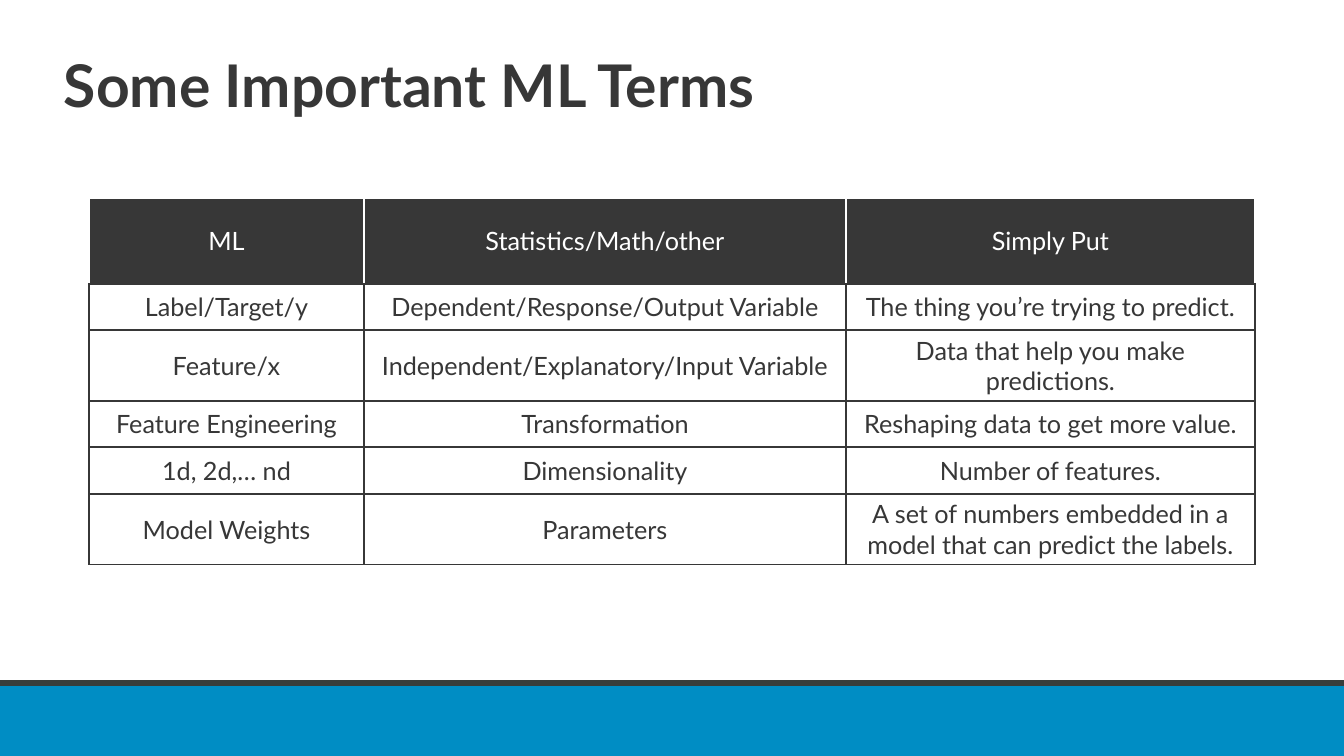
"""Build a slide with a table of important machine learning terms."""
from lxml import etree
from pptx import Presentation
from pptx.dml.color import RGBColor
from pptx.enum.shapes import MSO_SHAPE
from pptx.enum.text import MSO_ANCHOR, PP_ALIGN
from pptx.oxml.ns import qn
from pptx.util import Emu, Pt

RECTANGLE = MSO_SHAPE.RECTANGLE
MIDDLE = MSO_ANCHOR.MIDDLE
CENTER = PP_ALIGN.CENTER
EMU_PER_PX = 914400 / 100.8
COLORS = {"ink": "373737", "white": "FFFFFF", "blue": "008DC4", "stripe": "383D3B"}
TITLE_FORMAT = {"name": "Lato", "size": Pt(42), "bold": True}
CELL_FORMAT = {"name": "Lato", "size": Pt(18), "bold": False}
FOOTER_BARS = [("blue", -2, 686, 1348, 70), ("stripe", -1, 680, 1346, 6)]
COLUMN_WIDTHS = [275, 482, 409]
ROW_HEIGHTS = [86, 46, 71, 46, 47, 70]
TERMS = [
    ["ML", "Statistics/Math/other", "Simply Put"],
    ["Label/Target/y", "Dependent/Response/Output Variable", "The thing you’re trying to predict."],
    ["Feature/x", "Independent/Explanatory/Input Variable", "Data that help you make predictions."],
    ["Feature Engineering", "Transformation", "Reshaping data to get more value."],
    ["1d, 2d,… nd", "Dimensionality", "Number of features."],
    ["Model Weights", "Parameters", "A set of numbers embedded in a model that can predict the labels."],
]


def px(*lengths):
    return [Emu(round(length * EMU_PER_PX)) for length in lengths]


def write(paragraph, text, color, font_format):
    paragraph.text = text
    for attribute, value in font_format.items():
        setattr(paragraph.font, attribute, value)
    paragraph.font.color.rgb = RGBColor.from_string(COLORS[color])


presentation = Presentation()
presentation.slide_width, presentation.slide_height = px(1344, 756)
slide = presentation.slides.add_slide(presentation.slide_layouts[6])

for color, *bounds in FOOTER_BARS:
    bar = slide.shapes.add_shape(RECTANGLE, *px(*bounds))
    bar.shadow.inherit = False
    bar.fill.solid()
    bar.fill.fore_color.rgb = RGBColor.from_string(COLORS[color])
    bar.line.fill.background()

title = slide.shapes.add_textbox(*px(54, 52, 1159, 110))
title.text_frame.word_wrap = True
title_paragraph = title.text_frame.paragraphs[0]
title_paragraph.line_spacing = 0.9
write(title_paragraph, "Some Important ML Terms", "ink", TITLE_FORMAT)

table = slide.shapes.add_table(
    len(TERMS), len(COLUMN_WIDTHS), *px(89, 198, sum(COLUMN_WIDTHS), sum(ROW_HEIGHTS))
).table
for column, width in zip(table.columns, px(*COLUMN_WIDTHS)):
    column.width = width
for row, height in zip(table.rows, px(*ROW_HEIGHTS)):
    row.height = height

for row_index, row_terms in enumerate(TERMS):
    is_header = row_index == 0
    text_color = "white" if is_header else "ink"
    for column_index, term in enumerate(row_terms):
        cell = table.cell(row_index, column_index)
        cell.vertical_anchor = MIDDLE
        if is_header:
            cell.fill.solid()
            cell.fill.fore_color.rgb = RGBColor.from_string(COLORS["ink"])
        else:
            cell.fill.background()
        paragraph = cell.text_frame.paragraphs[0]
        paragraph.alignment = CENTER
        write(paragraph, term, text_color, CELL_FORMAT)
        properties = cell._tc.get_or_add_tcPr()
        for position, side in enumerate("LRTB"):
            border = etree.Element(qn(f"a:ln{side}"), w=str(Pt(1)))
            fill = etree.SubElement(border, qn("a:solidFill"))
            border_color = "ink" if side == "B" else text_color
            etree.SubElement(fill, qn("a:srgbClr"), val=COLORS[border_color])
            properties.insert(position, border)

presentation.save("out.pptx")
